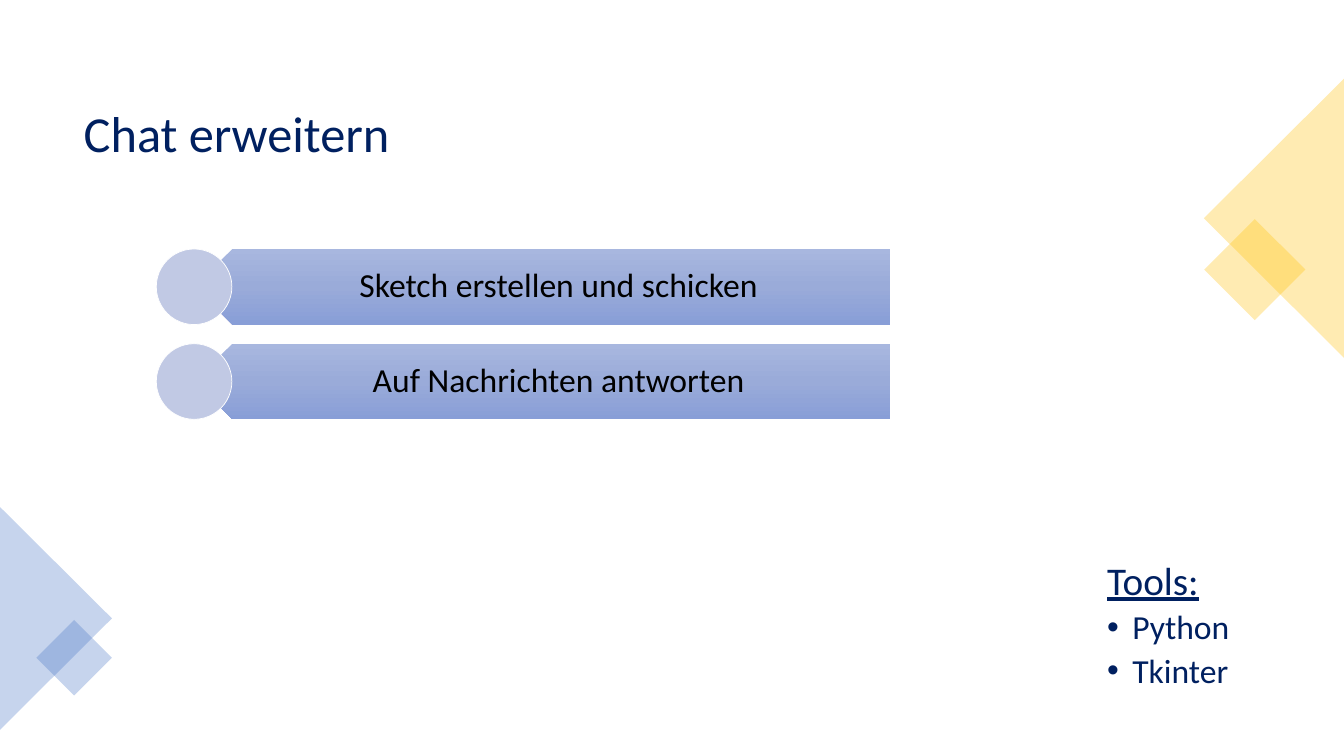
from dataclasses import dataclass

from lxml import etree
from pptx import Presentation
from pptx import util as u
from pptx.dml.color import RGBColor
from pptx.enum import shapes, text
from pptx.oxml import parse_xml
from pptx.oxml.ns import nsdecls, qn

KIND = shapes.MSO_SHAPE


@dataclass(frozen=True)
class Theme:
    font: str = "Calibri"
    navy: str = "002060"
    black: str = "000000"
    white: str = "FFFFFF"
    gold: str = "FFC000"
    blue: str = "4472C4"
    disc: str = "C1C9E4"
    bar: tuple[str, ...] = ("A8B7DF", "9AABD9", "889ED7")
    alpha: int = 30
    title: int = 36
    head: int = 28
    item: int = 24


@dataclass(frozen=True)
class Box:
    left: float
    top: float
    width: float
    height: float

    def emu(self) -> list[int]:
        return [u.Inches(v) for v in (self.left, self.top, self.width, self.height)]


@dataclass(frozen=True)
class Decor:
    kind: int
    box: Box
    turn: int
    color: str


@dataclass(frozen=True)
class Tool:
    label: str
    size: int
    left: float
    hang: float
    bullet: str = ""


THEME = Theme()
TITLE = Box(0.73, 0.73, 11.93, 1.24)
LIST = Box(10.38, 5.52, 2.27, 1.69)
STEPS = ("Sketch erstellen und schicken", "Auf Nachrichten antworten")
TOP, PITCH, SIZE = 2.47, 0.94, 0.75
TOOLS = (
    Tool("Tools:", THEME.head, 0.5, 0),
    Tool("Python", THEME.item, 0.75, -0.25, "•"),
    Tool("Tkinter", THEME.item, 0.75, -0.25, "•"),
)
DECOR = (
    Decor(KIND.RECTANGLE, Box(12.09, 2.32, 0.71, 0.71), 45, THEME.gold),
    Decor(KIND.ISOSCELES_TRIANGLE, Box(11.25, 1.47, 2.77, 1.39), 270, THEME.gold),
    Decor(KIND.ISOSCELES_TRIANGLE, Box(-0.55, 5.58, 2.21, 1.11), 90, THEME.blue),
    Decor(KIND.RECTANGLE, Box(0.47, 6.26, 0.53, 0.53), 45, THEME.blue),
)


def assign(item, values: dict) -> None:
    for name, value in values.items():
        setattr(item, name, value)


def place(item, box: Box) -> None:
    assign(item, dict(zip(("left", "top", "width", "height"), box.emu())))


def write(para, label: str, size: int, color: str, **more) -> None:
    run = para.add_run()
    run.text = label
    assign(run.font, {"name": THEME.font, "size": u.Pt(size), **more})
    run.font.color.rgb = RGBColor.from_string(color)
    para.line_spacing = 0.9


def draw(slide, kind: int, box: Box, color: str, turn: int = 0):
    shape = slide.shapes.add_shape(kind, *box.emu())
    shape.rotation = turn
    shape.shadow.inherit = False
    shape.fill.solid()
    shape.fill.fore_color.rgb = RGBColor.from_string(color)
    shape.line.fill.background()
    return shape


def shade(shape, colors: tuple[str, ...]) -> None:
    step = 100000 // (len(colors) - 1)
    stops = "".join(
        f'<a:gs pos="{i * step}"><a:srgbClr val="{c}"/></a:gs>'
        for i, c in enumerate(colors)
    )
    grad = parse_xml(
        f'<a:gradFill {nsdecls("a")} rotWithShape="0"><a:gsLst>{stops}</a:gsLst>'
        '<a:lin ang="5400000" scaled="0"/></a:gradFill>'
    )
    solid = shape.element.spPr.find(qn("a:solidFill"))
    solid.getparent().replace(solid, grad)


def step(slide, label: str, top: float) -> None:
    # Arrow bar
    bar = draw(slide, KIND.PENTAGON, Box(1.93, top, 6.9, SIZE), THEME.bar[0], 180)
    shade(bar, THEME.bar)
    # Label
    frame = slide.shapes.add_textbox(*Box(2.11, top, 6.72, SIZE).emu()).text_frame
    assign(frame, {
        "word_wrap": True,
        "vertical_anchor": text.MSO_ANCHOR.MIDDLE,
        "margin_left": u.Inches(0.33),
        "margin_right": u.Inches(0.19),
        "margin_top": u.Inches(0.1),
        "margin_bottom": u.Inches(0.1),
    })
    para = frame.paragraphs[0]
    para.alignment = text.PP_ALIGN.CENTER
    write(para, label, THEME.item, THEME.black)
    # Disc
    disc = draw(slide, KIND.OVAL, Box(1.55, top, SIZE, SIZE), THEME.disc)
    disc.line.color.rgb = RGBColor.from_string(THEME.white)
    disc.line.width = u.Pt(0.5)


def decor(slide, part: Decor) -> None:
    shape = draw(slide, part.kind, part.box, part.color, part.turn)
    color = shape.element.spPr.find(qn("a:solidFill"))[0]
    etree.SubElement(color, qn("a:alpha")).set("val", str(THEME.alpha * 1000))


def tools(body) -> None:
    place(body, LIST)
    frame = body.text_frame
    assign(frame, {"auto_size": text.MSO_AUTO_SIZE.NONE, "word_wrap": True})
    for i, tool in enumerate(TOOLS):
        para = frame.add_paragraph() if i else frame.paragraphs[0]
        assign(para, {"level": 1, "space_before": u.Pt(5)})
        write(para, tool.label, tool.size, THEME.navy, underline=not tool.bullet)
        props = para._p.get_or_add_pPr()
        props.set("marL", str(u.Inches(tool.left)))
        props.set("indent", str(u.Inches(tool.hang)))
        if tool.bullet:
            etree.SubElement(props, qn("a:buFont")).set("typeface", "Arial")
            etree.SubElement(props, qn("a:buChar")).set("char", tool.bullet)
        else:
            etree.SubElement(props, qn("a:buNone"))


def main() -> None:
    deck = Presentation()
    assign(deck, {"slide_width": u.Inches(13.33), "slide_height": u.Inches(7.5)})
    slide = deck.slides.add_slide(deck.slide_layouts[1])

    # Title
    title = slide.shapes.title
    place(title, TITLE)
    title.text_frame.vertical_anchor = text.MSO_ANCHOR.MIDDLE
    para = title.text_frame.paragraphs[0]
    para.alignment = text.PP_ALIGN.LEFT
    write(para, "Chat erweitern", THEME.title, THEME.navy)

    # Steps, corner decoration and tool list
    for i, label in enumerate(STEPS):
        step(slide, label, TOP + i * PITCH)
    for part in DECOR:
        decor(slide, part)
    tools(slide.placeholders[1])

    deck.save("out.pptx")


if __name__ == "__main__":
    main()
